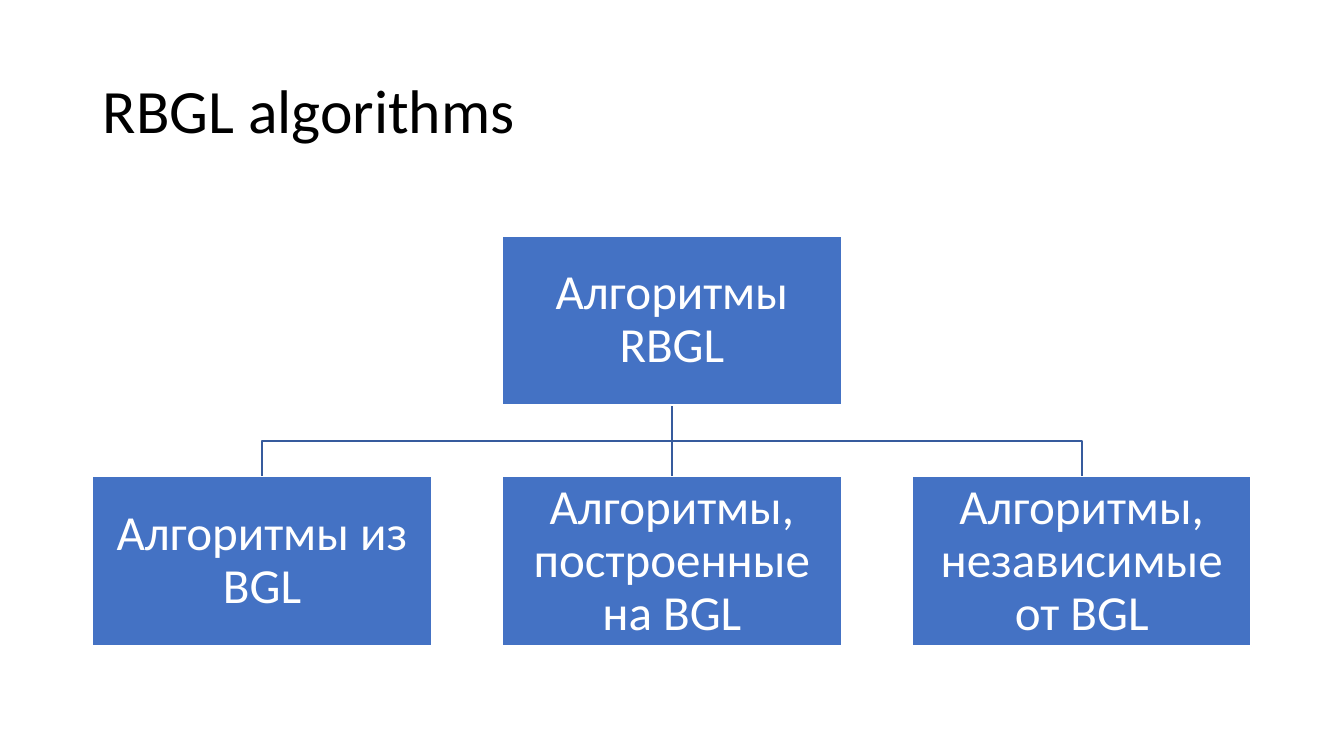
from pptx import Presentation
from pptx.dml.color import RGBColor
from pptx.enum.shapes import MSO_CONNECTOR, MSO_SHAPE
from pptx.enum.text import MSO_ANCHOR, PP_ALIGN
from pptx.oxml.ns import qn
from pptx.util import Inches, Pt
from lxml import etree

RECT, STRAIGHT = MSO_SHAPE.RECTANGLE, MSO_CONNECTOR.STRAIGHT
MIDDLE, LEFT, CENTER = MSO_ANCHOR.MIDDLE, PP_ALIGN.LEFT, PP_ALIGN.CENTER

# Content
TITLE = "RBGL algorithms"
ROOT = "Алгоритмы RBGL"
BRANCHES = [
    "Алгоритмы из BGL",
    "Алгоритмы, построенные на BGL",
    "Алгоритмы, независимые от BGL",
]

# Style
COLORS = {"title": "000000", "box": "4472C4", "text": "FFFFFF",
          "edge": "FFFFFF", "link": "365B9D"}
TITLE_FONT = {"name": "Calibri", "size": Pt(44)}
BOX_FONT = {"name": "Calibri", "size": Pt(35)}

# Grid in inches: three columns, two rows
SLIDE_W, SLIDE_H = 13.33, 7.5
BOX_W, BOX_H = 3.36, 1.68
MARGIN, TOP = 0.92, 2.34
COL_STEP = (SLIDE_W - 2 * MARGIN - BOX_W) / (len(BRANCHES) - 1)
ROW_STEP = 2.39


def rgb(name):
    return RGBColor.from_string(COLORS[name])


def set_line(shape, color):
    shape.line.color.rgb = rgb(color)
    shape.line.width = Pt(1)


def write(shape, text, font, color, align, inset):
    tf = shape.text_frame
    tf.word_wrap = True
    tf.vertical_anchor = MIDDLE
    for side, size in inset.items():
        setattr(tf, f"margin_{side}", Inches(size))
    p = tf.paragraphs[0]
    p.alignment, p.line_spacing = align, 0.9
    r = p.add_run()
    r.text = text
    for key, value in font.items():
        setattr(r.font, key, value)
    r.font.color.rgb = rgb(color)


def add_box(s, col, row, text):
    sp = s.shapes.add_shape(RECT, Inches(MARGIN + col * COL_STEP),
                            Inches(TOP + row * ROW_STEP),
                            Inches(BOX_W), Inches(BOX_H))
    sp.shadow.inherit = False
    sp.fill.solid()
    sp.fill.fore_color.rgb = rgb("box")
    set_line(sp, "edge")
    inset = dict.fromkeys(("left", "top", "right", "bottom"), 0.02)
    write(sp, text, BOX_FONT, "text", CENTER, inset)


def add_link(s, col, root_col):
    x1, x2 = (Inches(MARGIN + c * COL_STEP + BOX_W / 2) for c in (root_col, col))
    y1, y2 = Inches(TOP + BOX_H), Inches(TOP + ROW_STEP)
    if col == root_col:
        link = s.shapes.add_connector(STRAIGHT, x1, y1, x2, y2)
        etree.SubElement(link._element.spPr, qn("a:effectLst"))
    else:
        bend = (y1 + y2) // 2
        path = s.shapes.build_freeform(x1, y1)
        path.add_line_segments([(x1, bend), (x2, bend), (x2, y2)], close=False)
        link = path.convert_to_shape()
        link.shadow.inherit = False
        link.fill.background()
    set_line(link, "link")


def main():
    prs = Presentation()
    prs.slide_width, prs.slide_height = Inches(SLIDE_W), Inches(SLIDE_H)
    s = prs.slides.add_slide(prs.slide_layouts[6])

    # Title
    title = s.shapes.add_textbox(Inches(MARGIN), Inches(0.4),
                                 Inches(SLIDE_W - 2 * MARGIN), Inches(1.45))
    write(title, TITLE, TITLE_FONT, "title", LEFT, {"left": 0.1, "right": 0.1})

    # Tree: links behind, boxes in front
    root_col = len(BRANCHES) // 2
    for col in range(len(BRANCHES)):
        add_link(s, col, root_col)
    add_box(s, root_col, 0, ROOT)
    for col, text in enumerate(BRANCHES):
        add_box(s, col, 1, text)

    prs.save("out.pptx")


if __name__ == "__main__":
    main()
